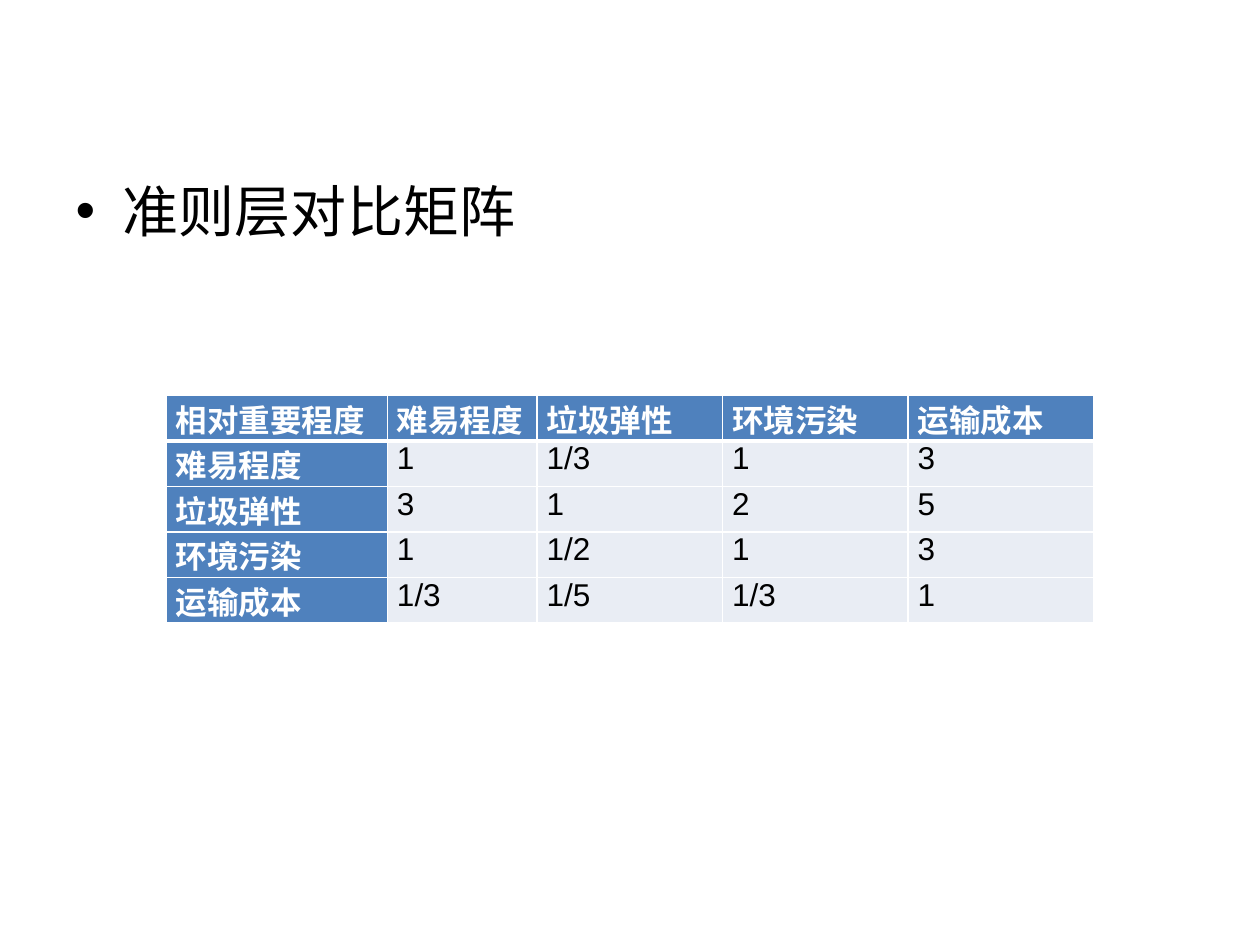
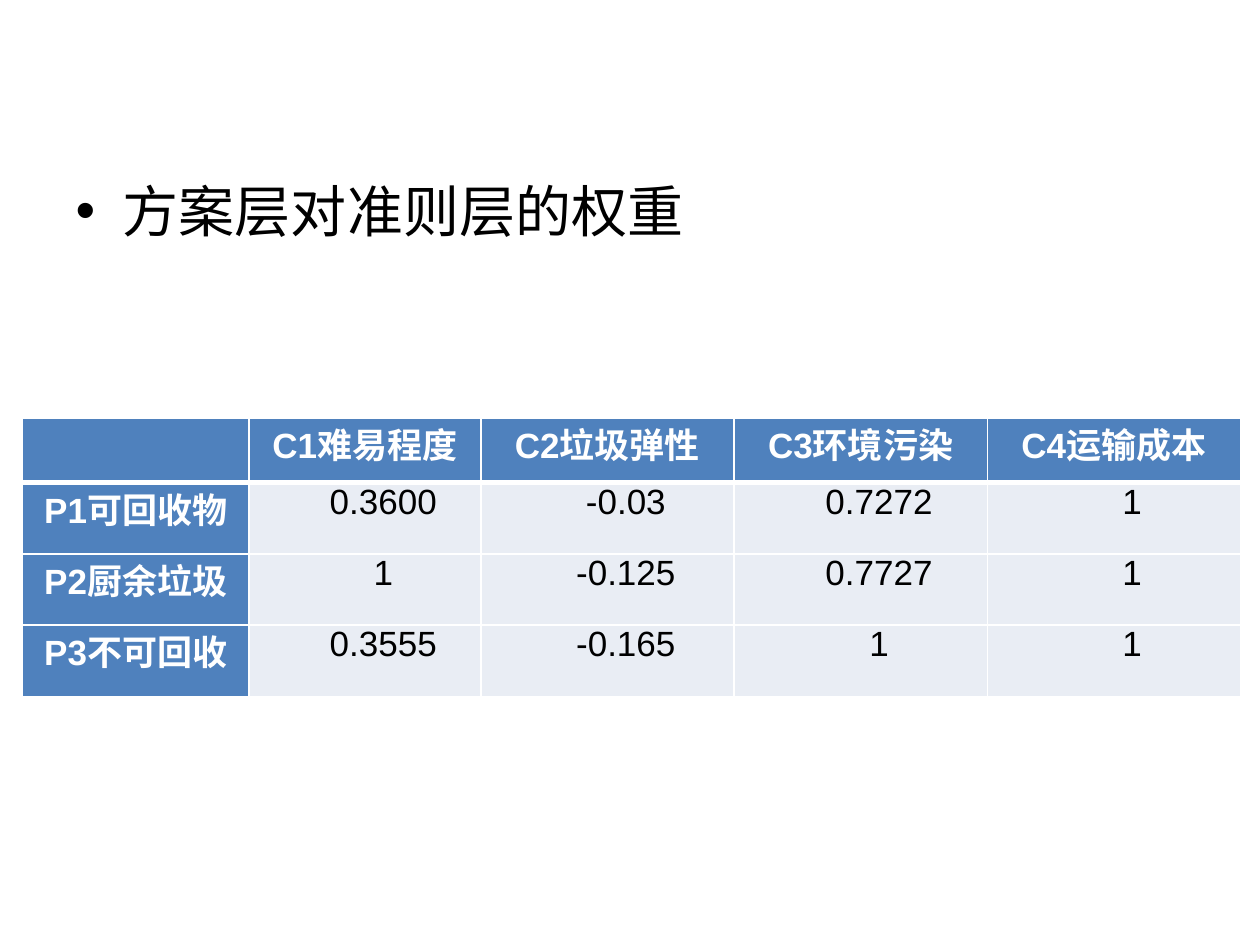
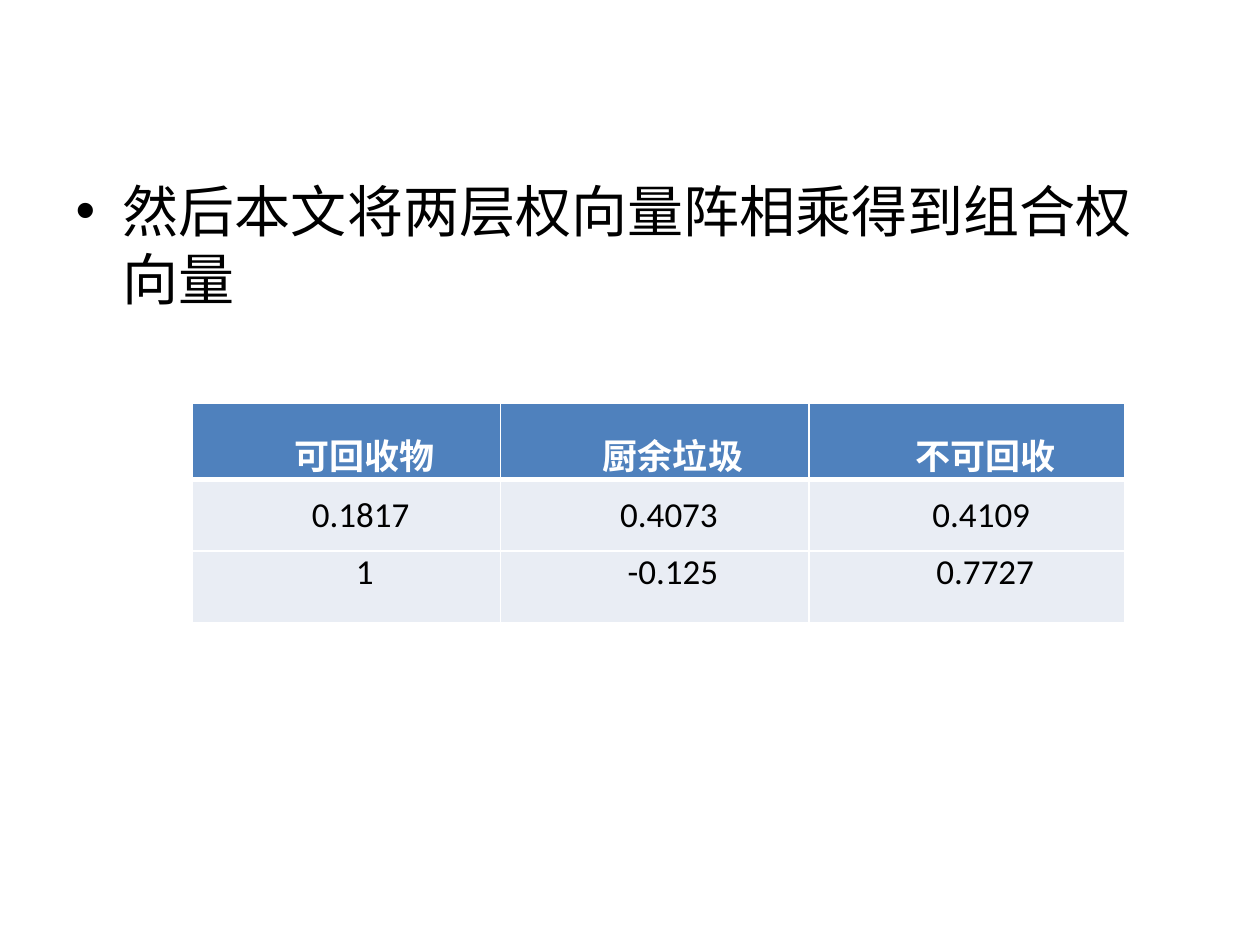
from dataclasses import dataclass

from lxml.etree import SubElement
from pptx import Presentation
from pptx.dml.color import RGBColor
from pptx.enum.text import MSO_ANCHOR as Anchor, PP_ALIGN as Align
from pptx.oxml import parse_xml
from pptx.oxml.ns import nsdecls, qn
from pptx.util import Pt


@dataclass(frozen=True)
class Theme:
    header: str = "4F81BD"
    body: str = "E9EDF4"
    white: str = "FFFFFF"
    black: str = "000000"
    east_asian_font: str = "Noto Sans CJK SC"
    statement_size: float = 32
    criteria_size: float = 18
    weights_size: float = 20
    thin_line: float = 1
    thick_line: float = 3
    indent: float = 21


THEME = Theme()
STATEMENT_BOX = (36.2, 97.5, 648, 385)


def write_text(frame, text, *, size, font, color, bold=False, align=None,
               left=0, indent=0, before=None, spacing=None, bullet=None):
    paragraph = frame.paragraphs[0]
    paragraph.alignment = align
    if before is not None:
        paragraph.space_before = Pt(before)
    if spacing is not None:
        paragraph.line_spacing = spacing
    properties = paragraph._p.get_or_add_pPr()
    properties.set("marL", str(Pt(left)))
    properties.set("indent", str(Pt(indent)))
    if bullet:
        SubElement(properties, qn("a:buFont")).set("typeface", "Arial")
        SubElement(properties, qn("a:buChar")).set("char", bullet)
    run = paragraph.add_run()
    run.text = text
    run.font.size = Pt(size)
    run.font.bold = bold
    run.font.name = font
    run.font.color.rgb = RGBColor.from_string(color)
    SubElement(run._r.get_or_add_rPr(), qn("a:ea")).set("typeface", THEME.east_asian_font)


def add_statement(slide, box, text):
    frame = slide.shapes.add_textbox(*map(Pt, box)).text_frame
    frame.word_wrap = True
    write_text(frame, text, size=THEME.statement_size, font=THEME.east_asian_font,
               color=THEME.black, left=27, indent=-27, before=6.4, bullet="•")


def set_borders(cell, row):
    widths = {side: THEME.thin_line for side in "LRTB"}
    if row == 0:
        widths["B"] = THEME.thick_line
    elif row == 1:
        widths["T"] = THEME.thick_line
    for position, (side, width) in enumerate(widths.items()):
        border = parse_xml(
            f'<a:ln{side} {nsdecls("a")} w="{Pt(width)}"><a:solidFill>'
            f'<a:srgbClr val="{THEME.white}"/></a:solidFill></a:ln{side}>')
        cell._tc.get_or_add_tcPr().insert(position, border)


def add_matrix(slide, origin, columns, heights, rows, *, size, font="Arial",
               body_font="Arial", align=None, label_column=True, header_indent=0,
               body_indent=0, header_spacing=None, middle_rows=()):
    box = (*origin, sum(columns), sum(heights))
    table = slide.shapes.add_table(len(rows), len(columns), *map(Pt, box)).table
    table.horz_banding = False
    table.first_col = label_column
    for column, width in zip(table.columns, columns):
        column.width = Pt(width)
    for table_row, height in zip(table.rows, heights):
        table_row.height = Pt(height)
    for row, texts in enumerate(rows):
        for column, text in enumerate(texts):
            cell = table.cell(row, column)
            is_header = row == 0 or (label_column and column == 0)
            cell.fill.solid()
            cell.fill.fore_color.rgb = RGBColor.from_string(
                THEME.header if is_header else THEME.body)
            set_borders(cell, row)
            cell.margin_left = cell.margin_right = Pt(5.4)
            cell.margin_top = cell.margin_bottom = 0
            if row in middle_rows:
                cell.vertical_anchor = Anchor.MIDDLE
            if text:
                write_text(cell.text_frame, text, size=size, bold=is_header, align=align,
                           font=font if is_header else body_font,
                           color=THEME.white if is_header else THEME.black,
                           indent=header_indent if is_header else body_indent,
                           spacing=header_spacing if is_header else None)


def add_slide(presentation, statement):
    slide = presentation.slides.add_slide(presentation.slide_layouts[6])
    add_statement(slide, STATEMENT_BOX, statement)
    return slide


def add_criteria_slide(presentation):
    slide = add_slide(presentation, "准则层对比矩阵")
    criteria = ["难易程度", "垃圾弹性", "环境污染", "运输成本"]
    comparisons = [
        ["1", "1/3", "1", "3"],
        ["3", "1", "2", "5"],
        ["1", "1/2", "1", "3"],
        ["1/3", "1/5", "1/3", "1"],
    ]
    rows = [["相对重要程度", *criteria]]
    rows += [[name, *values] for name, values in zip(criteria, comparisons)]
    add_matrix(slide, (95, 226), [126.5, 85.5] + [106] * 3, [26] * 5, rows,
               size=THEME.criteria_size)


def add_weights_slide(presentation):
    slide = add_slide(presentation, "方案层对准则层的权重")
    rows = [
        ["", "C1难易程度", "C2垃圾弹性", "C3环境污染", "C4运输成本"],
        ["P1可回收物", "0.3600", "-0.03", "0.7272", "1"],
        ["P2厨余垃圾", "1", "-0.125", "0.7727", "1"],
        ["P3不可回收", "0.3555", "-0.165", "1", "1"],
    ]
    add_matrix(slide, (12.8, 239), [129.5, 132.5] + [144.7] * 3, [36.7] + [40.8] * 3, rows,
               size=THEME.weights_size, align=Align.CENTER, body_indent=THEME.indent)


def add_combined_slide(presentation):
    slide = add_slide(presentation, "然后本文将两层权向量阵相乘得到组合权向量")
    rows = [
        ["可回收物", "厨余垃圾", "不可回收"],
        ["0.1817 ", "0.4073 ", "0.4109 "],
        ["1", "-0.125", "0.7727"],
    ]
    add_matrix(slide, (109.8, 230.5), [176.2, 176.2, 180.7], [43.5, 40.8, 40.8], rows,
               size=THEME.weights_size, font="Times New Roman", body_font="Calibri",
               align=Align.CENTER, label_column=False, header_indent=THEME.indent,
               body_indent=THEME.indent, header_spacing=1.5, middle_rows=(1,))


def main():
    presentation = Presentation()
    presentation.slide_width, presentation.slide_height = Pt(720), Pt(540)
    for build in (add_criteria_slide, add_weights_slide, add_combined_slide):
        build(presentation)
    presentation.save("out.pptx")


if __name__ == "__main__":
    main()
